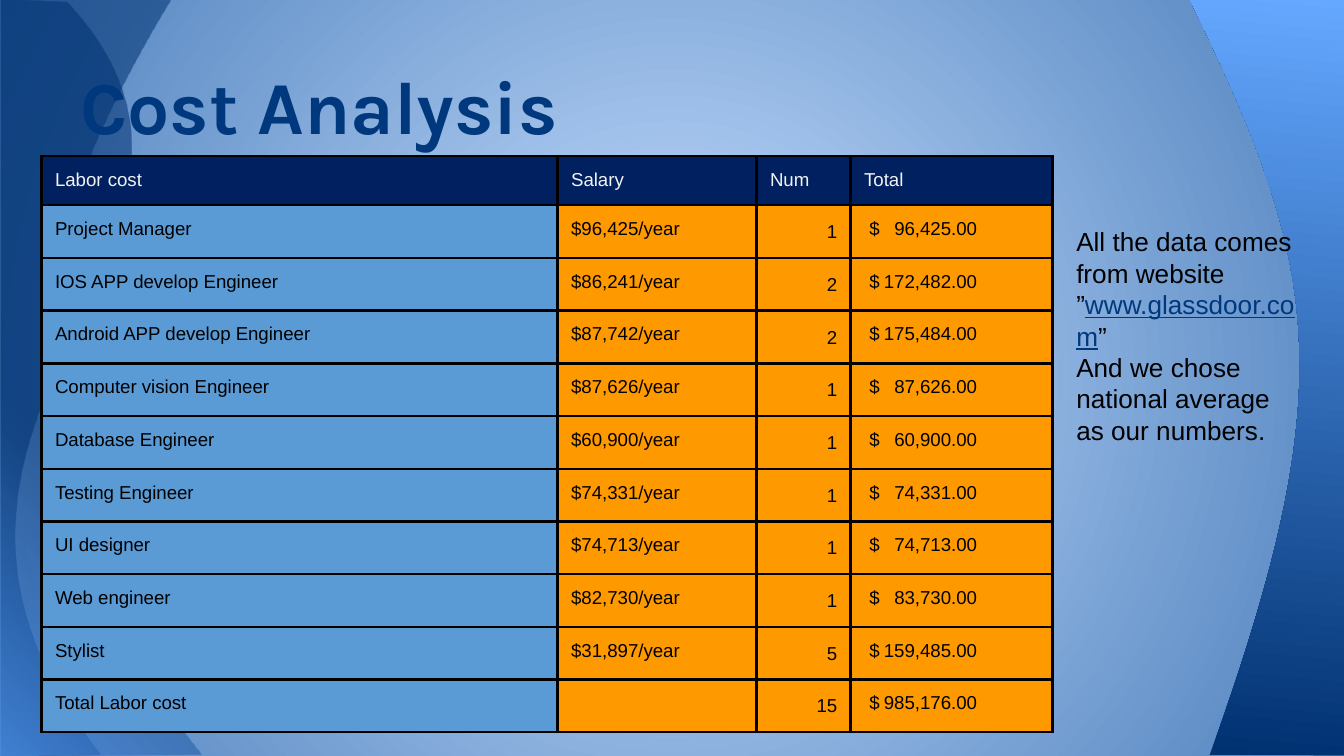
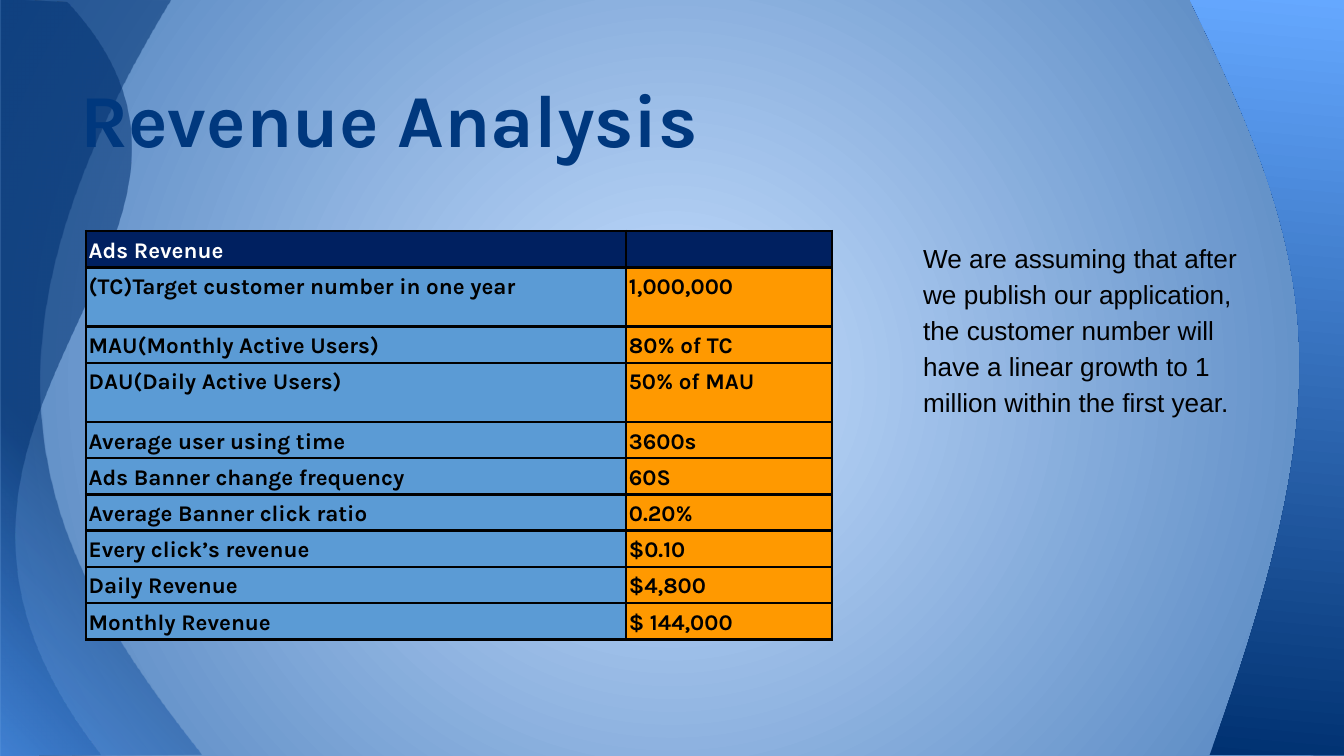
from lxml import etree
from pptx import Presentation
from pptx.dml.color import RGBColor
from pptx.enum.text import MSO_ANCHOR, PP_ALIGN
from pptx.oxml.ns import nsdecls, qn
from pptx.util import Inches, Pt

LEFT, RIGHT = PP_ALIGN.LEFT, PP_ALIGN.RIGHT
TOP, MIDDLE, BOTTOM = MSO_ANCHOR.TOP, MSO_ANCHOR.MIDDLE, MSO_ANCHOR.BOTTOM

# Shared look
WIDTH = 10
HEIGHT = WIDTH * 9 / 16
BODY_FONT, TITLE_FONT = "Arial", "Karla"
BLACK, NAVY, SKY, ORANGE, TITLE_BLUE = "000000", "002060", "5B9BD5", "FF9900", "00387E"
CENTER, BOTTOM_LEFT = (50, 50, 50, 50), (0, 100, 100, 0)
BACKDROP = dict(stops=[(0, "C6DFFF"), (100, "4F81BD")], focus=CENTER)
VEIL = dict(stops=[(0, "549FFF"), (41, "003171"), (100, "003171")],
            focus=BOTTOM_LEFT, alpha=54)
RIGHT_EDGE = dict(stops=[(0, "003171"), (100, "65A8FF")], angle=275)

# Each wave: gradient, then its outline; one point is a line, three a curve
WAVES = [
    (VEIL, [[(1.5, 5.61)], [(-0.01, 5.62)],
            [(-0.01, 3.74), (0, 1.86), (0, -0.02)], [(1.27, 0)],
            [(-0.38, 2.72), (0.33, 4.13), (1.5, 5.61)]]),
    (VEIL, [[(0.75, 5.61)], [(0.01, 5.62)],
            [(0.01, 3.75), (0.01, 1.88), (0.01, 0)], [(0.5, 0.02)],
            [(2.17, 1.82), (-1.22, 3.08), (0.75, 5.61)]]),
    (RIGHT_EDGE, [[(10.05, 5.62)], [(9, 5.62)],
                  [(10.01, 2.84), (9.81, 1.96), (8.85, -0.01)],
                  [(10.05, -0.01)], [(10.05, 5.62)]]),
]

# Slide content
LABOR_COSTS = [
    ("Labor cost", "Salary", "Num", "Total"),
    ("Project Manager", "$96,425/year", "1", "$\t96,425.00"),
    ("IOS APP develop Engineer", "$86,241/year", "2", "$\t172,482.00"),
    ("Android APP develop Engineer", "$87,742/year", "2", "$\t175,484.00"),
    ("Computer vision Engineer", "$87,626/year", "1", "$\t87,626.00"),
    ("Database Engineer", "$60,900/year", "1", "$\t60,900.00"),
    ("Testing Engineer", "$74,331/year", "1", "$\t74,331.00"),
    ("UI designer", "$74,713/year", "1", "$\t74,713.00"),
    ("Web engineer", "$82,730/year", "1", "$\t83,730.00"),
    ("Stylist", "$31,897/year", "5", "$\t159,485.00"),
    ("Total Labor cost", "", "15", "$\t985,176.00"),
]
ADS_REVENUE = [
    ("Ads Revenue", ""),
    ("(TC)Target customer number in one year", "1,000,000"),
    ("MAU(Monthly Active Users)", "80% of TC"),
    ("DAU(Daily Active Users)", "50% of MAU"),
    ("Average user using time", "3600s"),
    ("Ads Banner change frequency", "60S"),
    ("Average Banner click ratio", "0.20%"),
    ("Every click’s revenue", "$0.10"),
    ("Daily Revenue", "$4,800"),
    ("Monthly Revenue", "$ 144,000"),
]
SLIDES = [
    dict(
        title="Cost Analysis", title_box=(0.5, 0.23, 9, 1.09), title_anchor=MIDDLE,
        rows=LABOR_COSTS, grid_box=(0.31, 1.16, 7.52, 4.28),
        columns=[3.84, 1.48, 0.7, 1.5], heights=[0.36] * 10 + [0.33], inset=0.1,
        number_column=2, header_color="F3F3F3",
        cell_format=dict(size=10),
        note="All the data comes from website\n”www.glassdoor.com”\n"
             "And we chose national average as our numbers.",
        note_box=(7.91, 1.58, 1.87, 3.82),
        note_format=dict(link="www.glassdoor.com"),
    ),
    dict(
        title="Revenue Analysis", title_box=(0.5, 0.37, 9, 0.94), title_anchor=BOTTOM,
        rows=ADS_REVENUE, grid_box=(0.64, 1.72, 5.55, 3.09),
        columns=[4.02, 1.53], heights=[0.27, 0.44, 0.24, 0.44] + [0.24] * 6, inset=0.02,
        number_column=None, header_color="FFFFFF",
        cell_format=dict(size=12, font=TITLE_FONT, bold=True, spacing=1.15),
        note="We are assuming that after we publish our application, the customer "
             "number will have a linear growth to 1 million within the first year.",
        note_box=(6.77, 1.67, 2.81, 3.01),
        note_format=dict(spacing=1.15),
    ),
]


def rgb(color):
    return RGBColor.from_string(color)


def set_insets(holder, inset):
    holder.margin_left = holder.margin_right = Inches(inset)
    holder.margin_top = holder.margin_bottom = Inches(inset)


def write(frame, text, size=14, font=BODY_FONT, color=BLACK, bold=False,
          align=LEFT, spacing=None, link=None, tab=None):
    """Fill a text frame, one paragraph a line, with the link underlined."""
    frame.word_wrap = True
    for index, line in enumerate(text.split("\n")):
        paragraph = frame.add_paragraph() if index else frame.paragraphs[0]
        paragraph.alignment = align
        if spacing:
            paragraph.line_spacing = spacing
        if tab:
            stops = etree.SubElement(paragraph._p.get_or_add_pPr(), qn("a:tabLst"))
            etree.SubElement(stops, qn("a:tab"), pos=str(Inches(tab)), algn="r")
        if not line:
            paragraph._p.get_or_add_endParaRPr().set("sz", str(size * 100))
        for piece in line.partition(link) if link else [line]:
            if not piece:
                continue
            run = paragraph.add_run()
            run.text = piece
            run.font.size, run.font.name, run.font.bold = Pt(size), font, bold
            run.font.underline = piece == link
            run.font.color.rgb = rgb(TITLE_BLUE if piece == link else color)


def add_text(slide, box, text, anchor=TOP, **text_format):
    frame = slide.shapes.add_textbox(*map(Inches, box)).text_frame
    frame.vertical_anchor = anchor
    set_insets(frame, 0.1)
    write(frame, text, **text_format)


def paint_gradient(fill, holder, stops, focus=None, angle=0, alpha=100):
    """Give the fill inside holder a round (focus) or straight (angle) gradient."""
    fill.solid()
    marks = "".join(
        f'<a:gs pos="{place * 1000}"><a:srgbClr val="{color}">'
        f'<a:alpha val="{alpha * 1000}"/></a:srgbClr></a:gs>'
        for place, color in stops)
    if focus:
        sides = " ".join(f'{side}="{share * 1000}"' for side, share in zip("ltrb", focus))
        course = f'<a:path path="circle"><a:fillToRect {sides}/></a:path>'
    else:
        course = f'<a:lin ang="{angle * 60000}" scaled="0"/>'
    solid = holder.find(qn("a:solidFill"))
    holder.replace(solid, etree.fromstring(
        f'<a:gradFill {nsdecls("a")} rotWithShape="1">'
        f'<a:gsLst>{marks}</a:gsLst>{course}</a:gradFill>'))


def add_wave(slide, gradient, outline):
    points = [(Inches(x), Inches(y)) for segment in outline for x, y in segment]
    builder = slide.shapes.build_freeform(*points[0])
    builder.add_line_segments(points[1:], close=False)
    wave = builder.convert_to_shape()
    # Join the three lines of each curve into one Bezier segment
    lines = iter(list(wave._element.iter(qn("a:lnTo"))))
    for segment in outline[1:]:
        first, *others = [next(lines) for _ in segment]
        if others:
            curve = etree.Element(qn("a:cubicBezTo"))
            first.addprevious(curve)
            for line in (first, *others):
                curve.append(line[0])
                line.getparent().remove(line)
    etree.SubElement(next(wave._element.iter(qn("a:path"))), qn("a:close"))
    wave.shadow.inherit = False
    wave.line.fill.background()
    paint_gradient(wave.fill, wave._element.spPr, **gradient)


def add_backdrop(slide):
    fill = slide.background.fill
    fill.solid()
    paint_gradient(fill, next(slide._element.iter(qn("p:bgPr"))), **BACKDROP)
    for gradient, outline in WAVES:
        add_wave(slide, gradient, outline)


def add_borders(cell):
    properties = cell._tc.get_or_add_tcPr()
    for side in "LRTB":
        line = etree.SubElement(properties, qn(f"a:ln{side}"), w=str(Pt(1.5)))
        solid = etree.SubElement(line, qn("a:solidFill"))
        etree.SubElement(solid, qn("a:srgbClr"), val=BLACK)


def add_grid(slide, rows, grid_box, columns, heights, inset,
             number_column, header_color, cell_format):
    holder = slide.shapes.add_table(len(rows), len(columns), *map(Inches, grid_box))
    table = holder.table
    table.first_row = table.horz_banding = False
    for column, width in zip(table.columns, columns):
        column.width = Inches(width)
    for row, height in zip(table.rows, heights):
        row.height = Inches(height)
    holder.height = Inches(grid_box[3])  # rows grow with their text
    for r, row in enumerate(rows):
        for c, text in enumerate(row):
            cell = table.cell(r, c)
            add_borders(cell)
            set_insets(cell, inset)
            cell.fill.solid()
            cell.fill.fore_color.rgb = rgb(NAVY if r == 0 else ORANGE if c else SKY)
            style = dict(cell_format, color=BLACK if r else header_color)
            if r and c == number_column:
                style.update(align=RIGHT, spacing=1.15)
            if "\t" in text:  # dollar sign left, amount on a right tab
                cell.margin_left = Inches(inset + 0.04)
                style["tab"] = 0.8
            write(cell.text_frame, text, **style)


def main():
    deck = Presentation()
    deck.slide_width, deck.slide_height = Inches(WIDTH), Inches(HEIGHT)
    for page in SLIDES:
        slide = deck.slides.add_slide(deck.slide_layouts[6])
        add_backdrop(slide)
        add_text(slide, page["title_box"], page["title"], anchor=page["title_anchor"],
                 size=40, font=TITLE_FONT, color=TITLE_BLUE, bold=True)
        add_grid(slide, **{key: page[key] for key in (
            "rows", "grid_box", "columns", "heights", "inset",
            "number_column", "header_color", "cell_format")})
        add_text(slide, page["note_box"], page["note"], **page["note_format"])
    deck.save("out.pptx")


if __name__ == "__main__":
    main()
